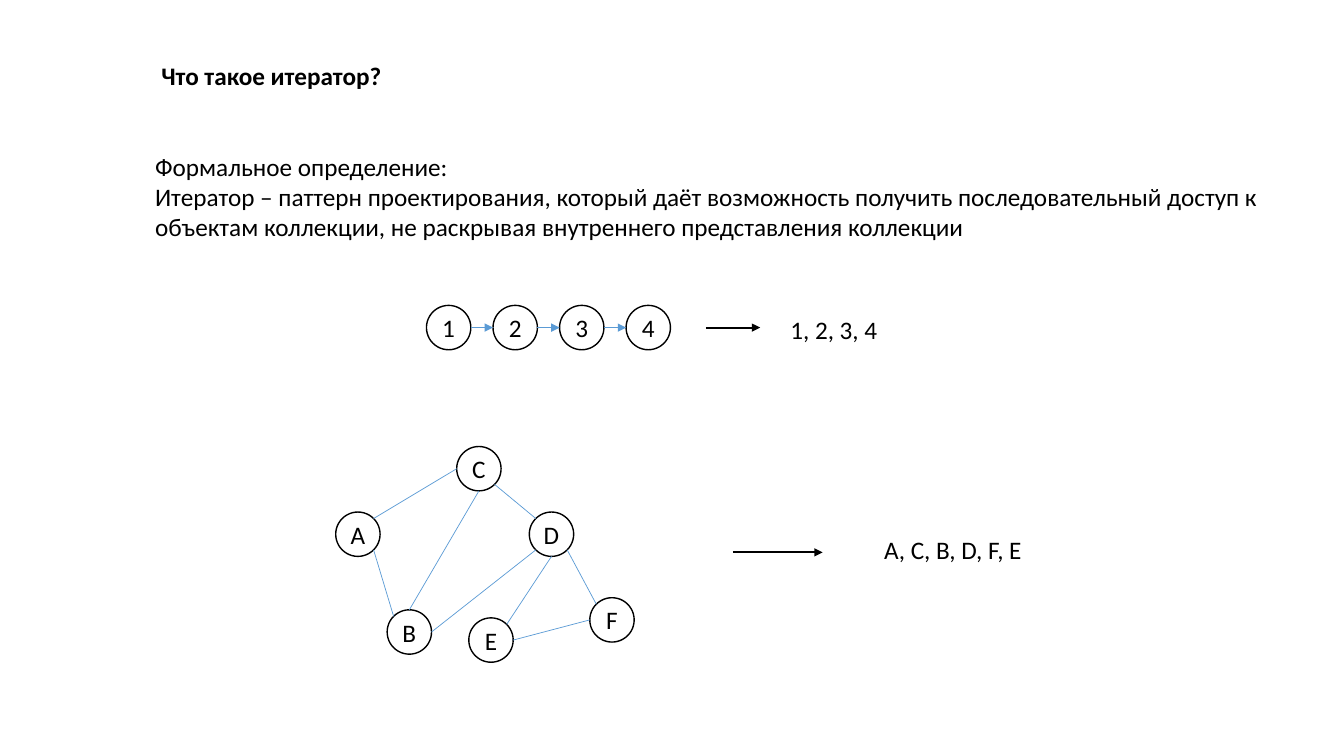
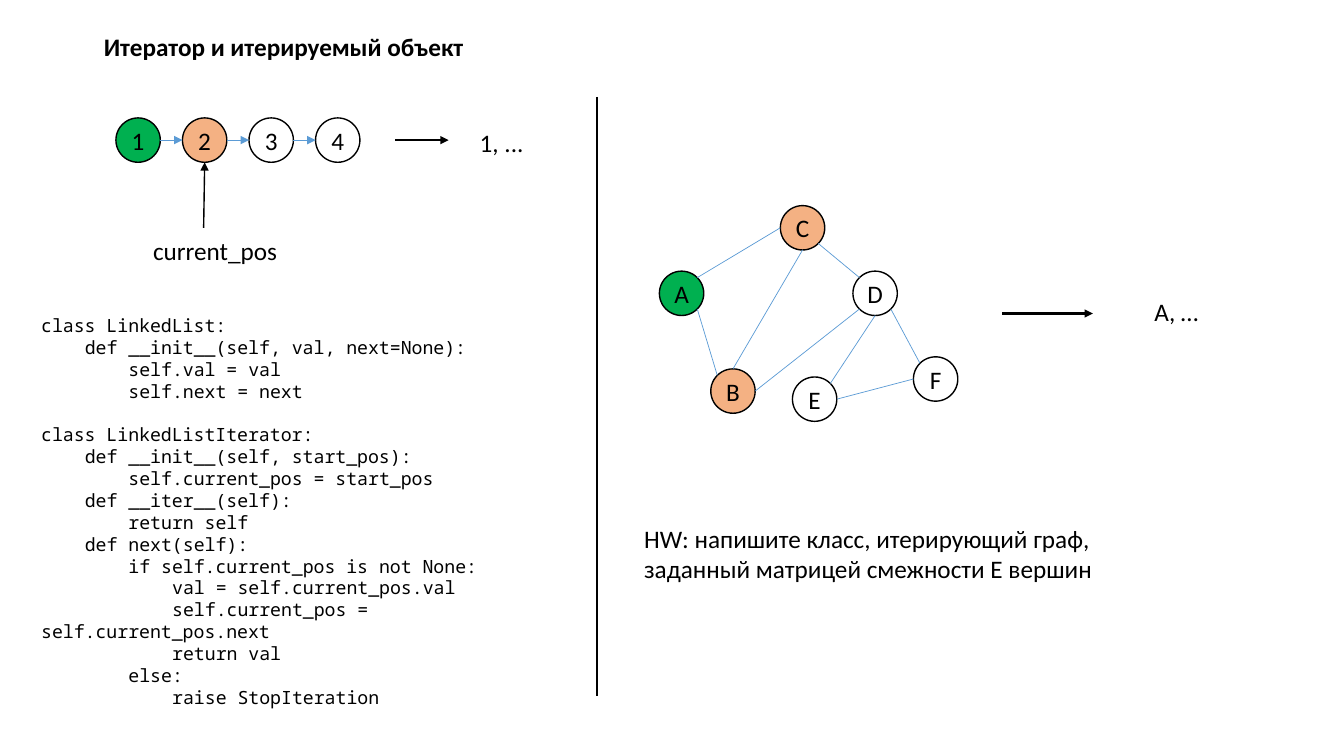
"""Builds two slides that explain iterators over a list and a graph."""
from lxml import etree
from pptx import Presentation
from pptx import util as u
from pptx.dml.color import RGBColor
from pptx.enum import shapes, text
from pptx.oxml.ns import qn

COLORS = {"ink": "000000", "paper": "FFFFFF", "edge": "5B9BD5",
          "visited": "00B050", "next": "F4B183"}
BODY_FONT, CODE_FONT = "Calibri", "Noto Sans Mono"
BODY_SIZE, CODE_SIZE = 18, 13
CODE_LINE = 1.2 * CODE_SIZE      # height of a code line, points
CODE_INDENT = 4 * 0.6 * CODE_SIZE  # width of four characters, points
NODE = 0.44
LIST_STEP = 0.66

# Points on a node's outline, as fractions of its box
DIAG = 0.146
SITES = {"top": (0.5, 0), "bottom": (0.5, 1), "left": (0, 0.5), "right": (1, 0.5),
         "top left": (DIAG, DIAG), "top right": (1 - DIAG, DIAG),
         "bottom left": (DIAG, 1 - DIAG), "bottom right": (1 - DIAG, 1 - DIAG)}

# Node offsets from the graph's corner
GRAPH_NODES = {"A": (0, 0.65), "D": (1.92, 0.65), "F": (2.52, 1.5),
               "E": (1.32, 1.7), "C": (1.2, 0), "B": (0.51, 1.62)}
GRAPH_EDGES = [("A", "top right", "C", "left"),
               ("C", "bottom right", "D", "top left"),
               ("A", "bottom right", "B", "top left"),
               ("B", "top", "C", "bottom"),
               ("B", "right", "D", "bottom left"),
               ("D", "bottom right", "F", "top left"),
               ("D", "bottom", "E", "top right"),
               ("E", "right", "F", "left")]

# Groups of (indent level, code line); each group is one class
CODE = [
    [(0, "class LinkedList:"),
     (1, "def __init__(self, val, next=None):"),
     (2, "self.val = val"),
     (2, "self.next = next")],
    [(0, "class LinkedListIterator:"),
     (1, "def __init__(self, start_pos):"),
     (2, "self.current_pos = start_pos"),
     (1, "def __iter__(self):"),
     (2, "return self"),
     (1, "def next(self):"),
     (2, "if self.current_pos is not None:"),
     (3, "val = self.current_pos.val"),
     (3, "self.current_pos = self.current_pos.next"),
     (3, "return val"),
     (2, "else:"),
     (3, "raise StopIteration")],
]


def rgb(name):
    """Return the named colour."""
    return RGBColor.from_string(COLORS[name])


def write(tf, lines, font=BODY_FONT, size=BODY_SIZE, bold=False,
          align=text.PP_ALIGN.LEFT, anchor=text.MSO_ANCHOR.TOP, wrap=False):
    """Fill a text frame with one paragraph per line and return the paragraphs."""
    tf.word_wrap = wrap
    tf.vertical_anchor = anchor
    for i, line in enumerate(lines):
        p = tf.add_paragraph() if i else tf.paragraphs[0]
        p.alignment = align
        r = p.add_run()
        r.text = line
        r.font.name, r.font.size, r.font.bold = font, u.Pt(size), bold
        r.font.color.rgb = rgb("ink")
    return tf.paragraphs


def add_text(s, lines, x, y, w, h, **fmt):
    """Add a text box and return its paragraphs."""
    sp = s.shapes.add_textbox(*map(u.Inches, (x, y, w, h)))
    return write(sp.text_frame, lines, **fmt)


def add_titled_slide(prs, title, x, y, w, h=0.4):
    """Add a title-only slide with its title placed."""
    s = prs.slides.add_slide(prs.slide_layouts[5])
    sp = s.shapes.title
    sp.left, sp.top, sp.width, sp.height = map(u.Inches, (x, y, w, h))
    sp.text_frame.auto_size = text.MSO_AUTO_SIZE.NONE
    write(sp.text_frame, [title], bold=True)
    return s


def add_line(s, start, end, color="ink", width=1.5, arrow=False):
    """Add a straight line, with an arrowhead at its end if asked."""
    cx = s.shapes.add_connector(shapes.MSO_CONNECTOR.STRAIGHT,
                                *map(u.Inches, (*start, *end)))
    cx.line.color.rgb = rgb(color)
    cx.line.width = u.Pt(width)
    if arrow:
        etree.SubElement(cx.line._get_or_add_ln(), qn("a:tailEnd"), type="triangle")
    etree.SubElement(cx._element.spPr, qn("a:effectLst"))


def add_node(s, label, x, y, fill="paper"):
    """Add a labelled circle."""
    sp = s.shapes.add_shape(shapes.MSO_SHAPE.OVAL, *map(u.Inches, (x, y, NODE, NODE)))
    sp.shadow.inherit = False
    sp.fill.solid()
    sp.fill.fore_color.rgb = rgb(fill)
    sp.line.color.rgb = rgb("ink")
    sp.line.width = u.Pt(1)
    tf = sp.text_frame
    tf.margin_left = tf.margin_right = tf.margin_top = tf.margin_bottom = 0
    write(tf, [label], align=text.PP_ALIGN.CENTER, anchor=text.MSO_ANCHOR.MIDDLE)


def add_linked_list(s, x, y, fills):
    """Add the linked list 1 to 4; fills maps labels to colours."""
    for i, label in enumerate("1234"):
        left = x + i * LIST_STEP
        add_node(s, label, left, y, fills.get(label, "paper"))
        if i:
            mid = y + NODE / 2
            add_line(s, (left - LIST_STEP + NODE, mid), (left, mid),
                     "edge", 0.5, arrow=True)


def add_graph(s, x, y, fills):
    """Add the graph A to F; fills maps labels to colours."""
    def site(label, side):
        """Return a point on the outline of a node."""
        dx, dy = GRAPH_NODES[label]
        fx, fy = SITES[side]
        return x + dx + fx * NODE, y + dy + fy * NODE

    for label, (dx, dy) in GRAPH_NODES.items():
        add_node(s, label, x + dx, y + dy, fills.get(label, "paper"))
    for a, a_side, b, b_side in GRAPH_EDGES:
        add_line(s, site(a, a_side), site(b, b_side), "edge", 0.5)


def add_code(s, groups, x, y, w, h):
    """Add code with first-line indents and a gap between groups."""
    rows = [(level, line, i > 0 and j == 0) for i, group in enumerate(groups)
            for j, (level, line) in enumerate(group)]
    paragraphs = add_text(s, [line for _, line, _ in rows], x, y, w, h,
                          font=CODE_FONT, size=CODE_SIZE, wrap=True)
    for p, (level, _, starts_group) in zip(paragraphs, rows):
        pPr = p._p.get_or_add_pPr()
        pPr.set("marL", "0")
        pPr.set("indent", str(int(u.Pt(level * CODE_INDENT))))
        if starts_group:
            p.space_before = u.Pt(CODE_LINE)


def definition_slide(prs):
    """Define the iterator and show two traversals."""
    s = add_titled_slide(prs, "Что такое итератор?", 1.5, 0.55, 2.4)
    add_text(s, ["Формальное определение:",
                 "Итератор – паттерн проектирования, который даёт возможность "
                 "получить последовательный доступ к объектам коллекции, "
                 "не раскрывая внутреннего представления коллекции"],
             1.44, 1.45, 11.26, 1.01, wrap=True)
    add_linked_list(s, 4.23, 3.03, {})
    add_line(s, (7, 3.25), (7.54, 3.25), arrow=True)
    add_text(s, ["1, 2, 3, 4"], 7.74, 3.07, 1.08, 0.4)
    add_graph(s, 3.33, 4.43, {})
    add_line(s, (7.27, 5.48), (8.16, 5.48), arrow=True)
    add_text(s, ["A, C, B, D, F, E"], 8.67, 5.25, 1.58, 0.4)


def iterable_slide(prs):
    """Show iteration state, list code and the graph homework."""
    s = add_titled_slide(prs, "Итератор и итерируемый объект", 0.93, 0.26, 3.8)
    add_linked_list(s, 1.15, 1.17, {"1": "visited", "2": "next"})
    add_line(s, (3.92, 1.39), (4.45, 1.39), arrow=True)
    add_text(s, ["1, ..."], 4.66, 1.21, 0.64, 0.4)
    add_line(s, (2.02, 2.26), (2.03, 1.61), width=1, arrow=True)
    add_text(s, ["current_pos"], 1.42, 2.29, 1.47, 0.4)
    add_code(s, CODE, 0.31, 3.07, 5.4, 3.82)
    add_line(s, (5.92, 0.96), (5.92, 6.9))
    add_graph(s, 6.54, 2.04, {"A": "visited", "B": "next", "C": "next"})
    add_line(s, (9.94, 3.11), (10.84, 3.11), arrow=True)
    add_text(s, ["A, …"], 11.35, 2.89, 0.66, 0.4)
    add_text(s, ["HW: напишите класс, итерирующий граф,",
                 "заданный матрицей смежности E вершин"], 6.29, 5.14, 4.73, 0.71)


def main():
    """Build and save the presentation."""
    prs = Presentation()
    prs.slide_width, prs.slide_height = u.Inches(13.33), u.Inches(7.5)
    definition_slide(prs)
    iterable_slide(prs)
    prs.save("out.pptx")


main()
